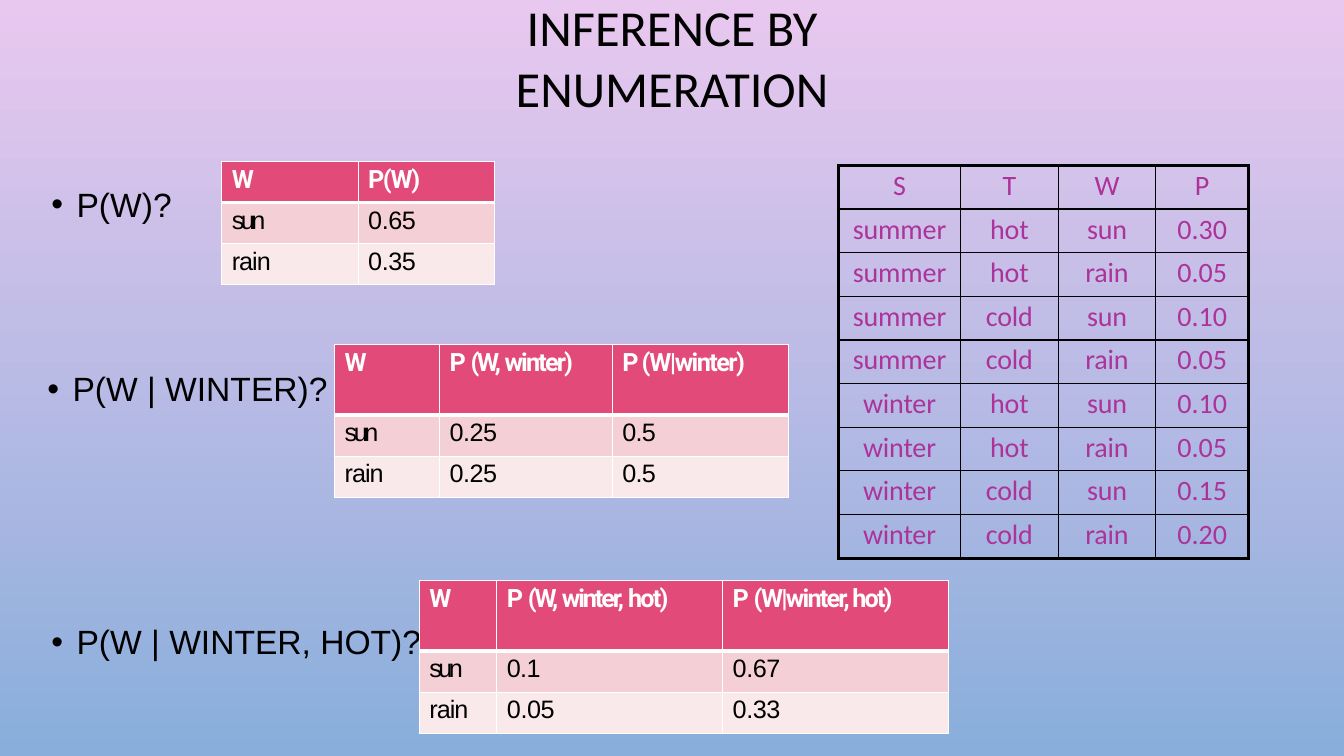
"""Build the slide on inference by enumeration."""
from lxml import etree
from pptx import Presentation
from pptx import util as u
from pptx.dml.color import RGBColor
from pptx.enum import text
from pptx.oxml import ns

Pt = u.Pt
BLACK = RGBColor(0x00, 0x00, 0x00)
WHITE = RGBColor(0xFF, 0xFF, 0xFF)
PLUM = RGBColor(0xAC, 0x33, 0x9A)
ROSE = RGBColor(0xE2, 0x4A, 0x79)
BLUSH = RGBColor(0xF4, 0xD0, 0xD6)
PALE = RGBColor(0xF9, 0xE9, 0xEB)
SKY_TOP = RGBColor(0xE9, 0xC8, 0xEF)
SKY_BOTTOM = RGBColor(0x89, 0xAE, 0xDB)

JOINT = [
    ("S", "T", "W", "P"),
    ("summer", "hot", "sun", "0.30"),
    ("summer", "hot", "rain", "0.05"),
    ("summer", "cold", "sun", "0.10"),
    ("summer", "cold", "rain", "0.05"),
    ("winter", "hot", "sun", "0.10"),
    ("winter", "hot", "rain", "0.05"),
    ("winter", "cold", "sun", "0.15"),
    ("winter", "cold", "rain", "0.20"),
]
QUERIES = [
    ("P(W)?", (36, 130.3, 90), (158.4, 115.2), (97.4, 97.4), 29.4, [
        ("W", "P(W)"),
        ("sun", "0.65"),
        ("rain", "0.35")]),
    ("P(W | WINTER)?", (33.1, 262.1, 204), (239, 246.2), (74.9, 123.4, 126), 50.4, [
        ("W", ("P ", "(W, ", "winter)"), "P (W|winter)"),
        ("sun", "0.25", "0.5"),
        ("rain", "0.25", "0.5")]),
    ("P(W | WINTER, HOT)?", (36, 442.8, 270), (299.5, 414.7), (55.4, 161.3, 161.3), 50.4, [
        ("W", ("P ", "(W, ", "winter, ", "hot)"), ("P ", "(W|winter, hot)")),
        ("sun", "0.1", "0.67"),
        ("rain", "0.05", "0.33")]),
]
TRACKING = {
    "P(W)": -1.1, "P ": -1.1, "(W, ": -1.9, "winter)": -1.3, "winter, ": -1.5,
    "hot)": -1.3, "P (W|winter)": -1.1, "(W|winter, hot)": -1.3,
    "sun": -2.5, "rain": -0.7, "0.1": -0.5, "0.5": -0.5,
    **dict.fromkeys(("0.65", "0.35", "0.25", "0.67", "0.05", "0.33"), -0.3),
}
JOINT_TRACKING = dict.fromkeys(("summer", "winter", "hot", "cold", "sun", "rain"), -0.1)


def style_font(font, name, size, color, bold=False):
    """Set the face, size, colour and weight of a font."""
    font.name, font.size, font.bold = name, Pt(size), bold
    font.color.rgb = color


def set_margins(box, left, top):
    """Set the left and top insets and clear the others."""
    box.margin_left, box.margin_top = Pt(left), Pt(top)
    box.margin_right = box.margin_bottom = 0


def paint_background(slide):
    """Fill the slide with a vertical gradient."""
    fill = slide.background.fill
    fill.gradient()
    fill.gradient_angle = 270
    for stop, color in zip(fill.gradient_stops, (SKY_TOP, SKY_BOTTOM)):
        stop.color.rgb = color


def add_title(slide, wording):
    """Place and format the title placeholder."""
    title = slide.shapes.title
    title.left, title.top, title.width, title.height = Pt(262), Pt(17.3), Pt(436.3), Pt(45.4)
    frame = title.text_frame
    frame.text = wording
    frame.word_wrap = True
    frame.auto_size = text.MSO_AUTO_SIZE.SHAPE_TO_FIT_TEXT
    frame.vertical_anchor = text.MSO_ANCHOR.MIDDLE
    set_margins(frame, 0, 1)
    paragraph = frame.paragraphs[0]
    paragraph.alignment = text.PP_ALIGN.CENTER
    style_font(paragraph.runs[0].font, "Calibri", 36, BLACK)


def add_question(slide, wording, left, top, width):
    """Add a bulleted query."""
    frame = slide.shapes.add_textbox(Pt(left), Pt(top), Pt(width), Pt(30.2)).text_frame
    frame.text = wording
    frame.word_wrap = True
    frame.auto_size = text.MSO_AUTO_SIZE.SHAPE_TO_FIT_TEXT
    set_margins(frame, 0, 1)
    paragraph = frame.paragraphs[0]
    properties = paragraph._p.get_or_add_pPr()
    properties.set("marL", str(Pt(18.7)))
    properties.set("indent", str(-Pt(18)))
    etree.SubElement(properties, ns.qn("a:buFont"), typeface="Arial")
    etree.SubElement(properties, ns.qn("a:buChar"), char="•")
    style_font(paragraph.runs[0].font, "Arial", 24, BLACK)


def draw_borders(cell, color, left, right, top, bottom):
    """Draw the four sides of a cell with the given line widths."""
    properties = cell._tc.get_or_add_tcPr()
    for side, width in zip("LRTB", (left, right, top, bottom)):
        line = etree.SubElement(properties, ns.qn(f"a:ln{side}"), w=str(Pt(width)))
        solid = etree.SubElement(line, ns.qn("a:solidFill"))
        etree.SubElement(solid, ns.qn("a:srgbClr"), val=str(color))


def write_cell(cell, segments, tracking, **font):
    """Write the runs of a cell with their letter spacing."""
    paragraph = cell.text_frame.paragraphs[0]
    for segment in (segments,) if isinstance(segments, str) else segments:
        run = paragraph.add_run()
        run.text = segment
        style_font(run.font, **font)
        run._r.get_or_add_rPr().set("spc", str(round(tracking.get(segment, 0) * 100)))
    return paragraph


def add_grid(slide, left, top, widths, heights):
    """Add a plain table with the given column widths and row heights."""
    grid = slide.shapes.add_table(len(heights), len(widths), Pt(left), Pt(top),
                                  Pt(sum(widths)), Pt(sum(heights))).table
    grid.first_row = grid.horz_banding = False
    for column, width in zip(grid.columns, widths):
        column.width = Pt(width)
    for row, height in zip(grid.rows, heights):
        row.height = Pt(height)
    return grid


def add_joint_distribution(slide):
    """Add the joint distribution in a heavy outer frame."""
    grid = add_grid(slide, 599, 118.1, (87.1, 69.8, 69.8, 66.2), [31.2] * len(JOINT))
    last_row, last_column = len(JOINT) - 1, len(JOINT[0]) - 1
    for r, values in enumerate(JOINT):
        for c, value in enumerate(values):
            cell = grid.cell(r, c)
            edges = (c == 0, c == last_column, r == 0, r == last_row)
            draw_borders(cell, BLACK, *(2.25 if edge else 1 for edge in edges))
            cell.fill.background()
            set_margins(cell, 0, 2.4)
            paragraph = write_cell(cell, value, JOINT_TRACKING,
                                   name="Calibri", size=20, color=PLUM)
            paragraph.alignment = text.PP_ALIGN.CENTER


def add_answer(slide, place, widths, header_height, rows):
    """Add the table that answers a query."""
    grid = add_grid(slide, *place, widths, (header_height, 29.3, 29.3))
    header_font = dict(name="Roboto", size=18, color=WHITE, bold=True)
    value_font = dict(name="Arial", size=18, color=BLACK)
    for r, (values, shade) in enumerate(zip(rows, (ROSE, BLUSH, PALE))):
        for c, value in enumerate(values):
            cell = grid.cell(r, c)
            draw_borders(cell, WHITE, 1, 1, 3 if r == 1 else 1, 3 if r == 0 else 1)
            cell.fill.solid()
            cell.fill.fore_color.rgb = shade
            set_margins(cell, 7.2, 2.7)
            write_cell(cell, value, TRACKING, **(value_font if r else header_font))


def main():
    """Build and save the slide."""
    deck = Presentation()
    deck.slide_width, deck.slide_height = Pt(960), Pt(540)
    slide = deck.slides.add_slide(deck.slide_layouts[5])
    paint_background(slide)
    add_title(slide, "INFERENCE BY ENUMERATION")
    for question, spot, *_ in QUERIES:
        add_question(slide, question, *spot)
    add_joint_distribution(slide)
    for _, _, *answer in QUERIES:
        add_answer(slide, *answer)
    deck.save("out.pptx")


if __name__ == "__main__":
    main()
